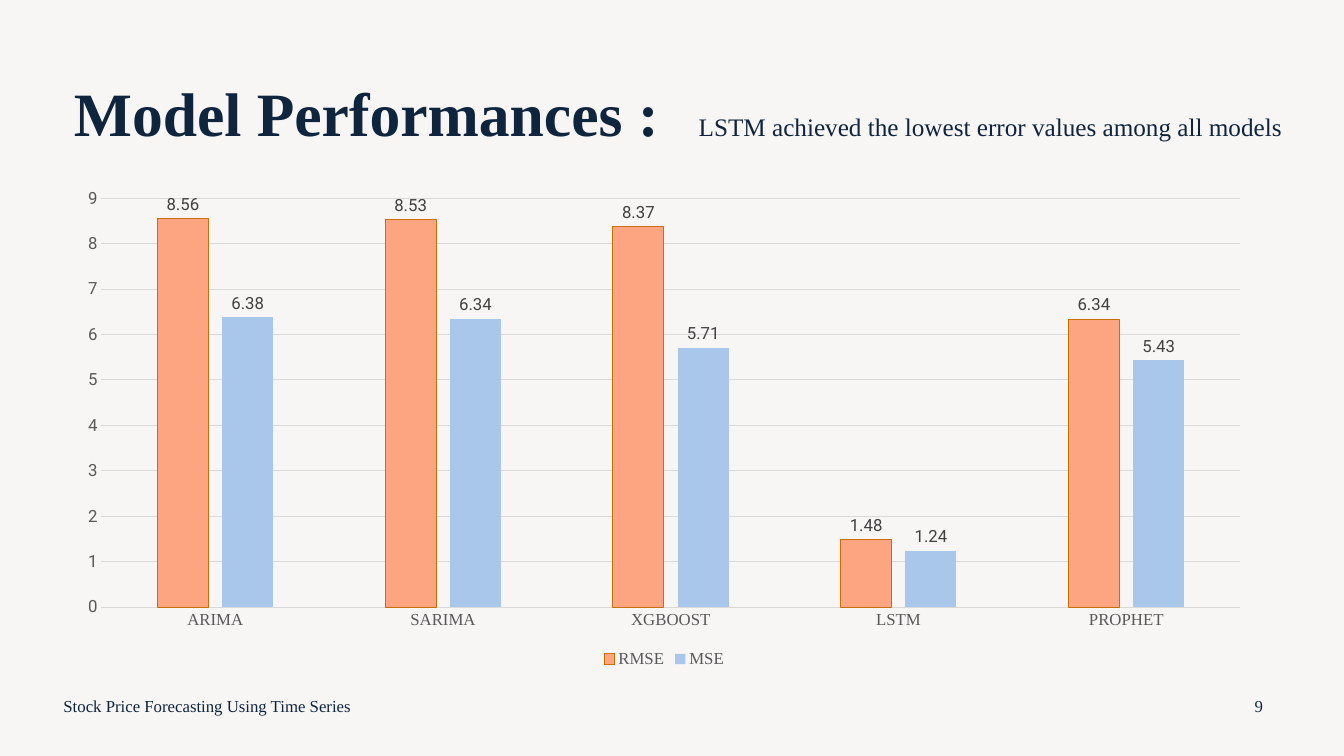
from pptx import Presentation
from pptx.chart.data import CategoryChartData
from pptx.dml.color import RGBColor
from pptx.enum.chart import XL_CHART_TYPE, XL_LABEL_POSITION, XL_LEGEND_POSITION, XL_TICK_MARK
from pptx.enum.text import MSO_ANCHOR, PP_ALIGN
from pptx.util import Emu, Pt

PX = 9525  # EMU per px, 96 px to the inch
SERIF, SANS = "Times New Roman", "Roboto"
NAVY, GREY, GRID = "0F253E", "595959", "D9D9D9"


def paint(color, code):
    """Set a colour format to a hex code."""
    color.rgb = RGBColor.from_string(code)


def style(font, size, name, code):
    font.size, font.name = Pt(size), name
    paint(font.color, code)


deck = Presentation()
deck.slide_width, deck.slide_height = Emu(1280 * PX), Emu(720 * PX)
slide = deck.slides.add_slide(deck.slide_layouts[6])
back = slide.background.fill
back.solid()
paint(back.fore_color, "F8F6F5")

# Title, takeaway and footer
left, mid = PP_ALIGN.LEFT, PP_ALIGN.CENTER
texts = [
    ("Model Performances :", 61, 53, 1104, 117, 44, left, MSO_ANCHOR.MIDDLE),
    ("LSTM achieved the lowest error values among all models",
     656, 101, 640, 38, 18, left, MSO_ANCHOR.TOP),
    ("Stock Price Forecasting Using Time Series",
     51, 653, 432, 38, 12, left, MSO_ANCHOR.MIDDLE),
    ("9", 1175, 653, 48, 38, 12, mid, MSO_ANCHOR.MIDDLE),
]
for text, x, y, w, h, size, align, anchor in texts:
    box = slide.shapes.add_textbox(x * PX, y * PX, w * PX, h * PX)
    frame = box.text_frame
    frame.word_wrap = True
    frame.vertical_anchor = anchor
    para = frame.paragraphs[0]
    para.text, para.alignment = text, align
    style(para.font, size, SERIF, NAVY)
    if size == 44:
        para.font.bold = True
        para.line_spacing = 0.9

# Error chart
data = CategoryChartData()
data.categories = ["ARIMA", "SARIMA", "XGBOOST", "LSTM", "PROPHET"]
data.add_series("RMSE", [8.56, 8.53, 8.37, 1.48, 6.34])
data.add_series("MSE", [6.38, 6.34, 5.71, 1.24, 5.43])
chart = slide.shapes.add_chart(
    XL_CHART_TYPE.COLUMN_CLUSTERED, 61 * PX, 170 * PX, 1143 * PX, 470 * PX, data).chart
style(chart.font, 10, SANS, "000000")
chart.has_title = False
chart.has_legend = True
legend = chart.legend
legend.position = XL_LEGEND_POSITION.BOTTOM
legend.include_in_layout = False
style(legend.font, 12, SERIF, GREY)

for axis, name in (chart.category_axis, SERIF), (chart.value_axis, SANS):
    axis.major_tick_mark = axis.minor_tick_mark = XL_TICK_MARK.NONE
    style(axis.tick_labels.font, 12, name, GREY)
scale = chart.value_axis
scale.minimum_scale, scale.maximum_scale, scale.major_unit = 0, 9, 1
scale.format.line.fill.background()
for line in chart.category_axis.format.line, scale.major_gridlines.format.line:
    paint(line.color, GRID)
    line.width = Pt(0.75)

plot = chart.plots[0]
plot.gap_width, plot.overlap = 219, -27
plot.vary_by_categories = False
for series, code in zip(plot.series, ["FDA480", "A8C7EA"]):
    series.invert_if_negative = False
    series.format.fill.solid()
    paint(series.format.fill.fore_color, code)
    labels = series.data_labels
    labels.show_value = True
    labels.position = XL_LABEL_POSITION.OUTSIDE_END
    style(labels.font, 12, SANS, "404040")
edge = plot.series[0].format.line
paint(edge.color, "CA6F07")
edge.width = Pt(0.75)

deck.save("out.pptx")
